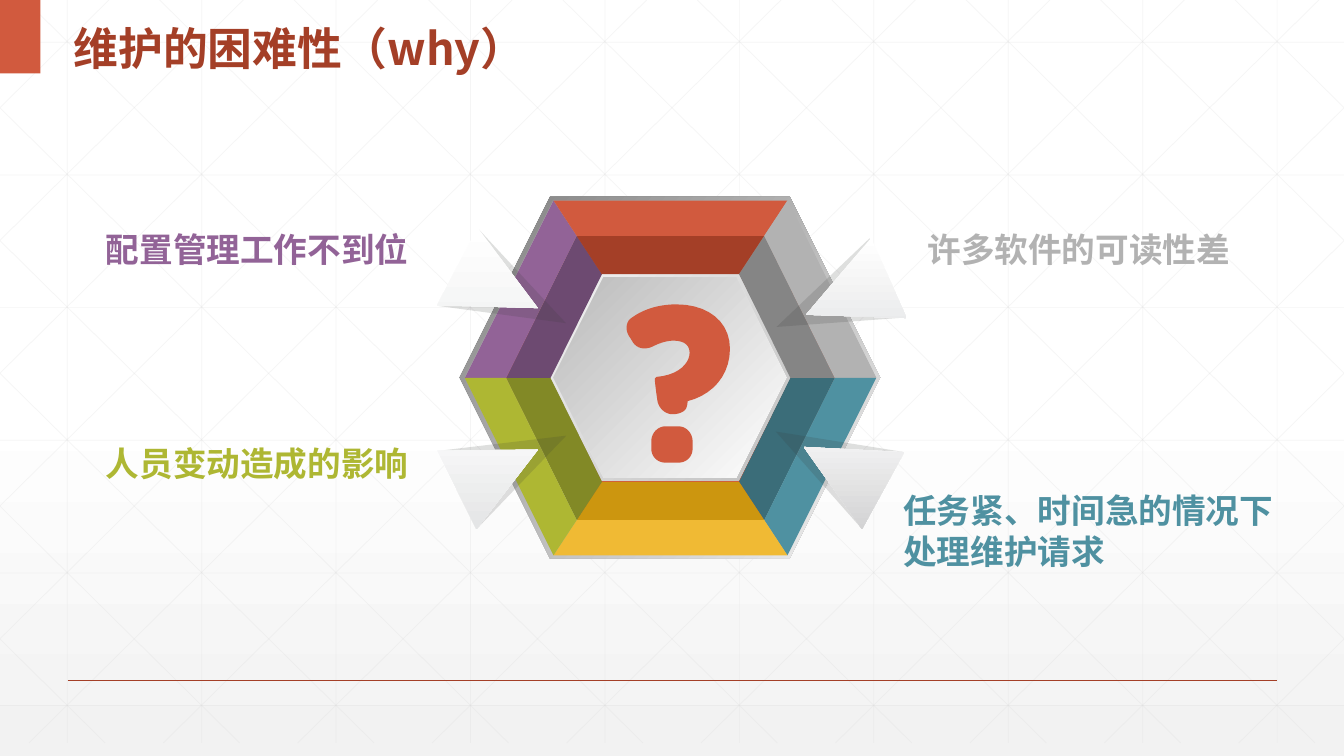
from dataclasses import dataclass

from lxml import etree
from pptx import Presentation
from pptx import util as u
from pptx.dml.color import RGBColor
from pptx.enum import shapes, text
from pptx.oxml.ns import qn


@dataclass(frozen=True)
class Theme:
    red: str = "D15A3E"
    dark_red: str = "A43F27"
    silver: str = "B2B2B2"
    dark_silver: str = "858585"
    teal: str = "4F91A1"
    dark_teal: str = "3B6D79"
    amber: str = "F0BA34"
    dark_amber: str = "CC960F"
    lime: str = "AEB733"
    dark_lime: str = "828926"
    violet: str = "926397"
    dark_violet: str = "6D4A71"
    mesh: str = "D9D9D9"
    shadow: str = "373937"
    white: str = "FFFFFF"
    pale: str = "F2F2F2"
    rim: str = "808080"
    bevel: str = "BFBFBF"
    core: str = "BABABA"
    title_font: str = "Noto Sans CJK SC"
    label_font: str = "Arial"
    title_size: int = 32
    label_size: int = 24


THEME = Theme()
WIDTH, HEIGHT, MESH_BOTTOM = 13.33, 7.5, 7.37
CENTER_X, CENTER_Y = 6.65, 3.75
HEXAGON = shapes.MSO_SHAPE.HEXAGON
TRIANGLE = shapes.MSO_SHAPE.ISOSCELES_TRIANGLE


def set_opacity(color_parent, percent):
    color = color_parent.find(".//" + qn("a:srgbClr"))
    etree.SubElement(color, qn("a:alpha")).set("val", str(percent * 1000))


def set_gradient(parent, stops, angle):
    """Swap the parent's solid fill for a gradient that ignores shape rotation."""
    gradient = etree.Element(qn("a:gradFill"), rotWithShape="0")
    stop_list = etree.SubElement(gradient, qn("a:gsLst"))
    for position, color in stops:
        stop = etree.SubElement(stop_list, qn("a:gs"), pos=str(position * 1000))
        etree.SubElement(stop, qn("a:srgbClr"), val=color)
    etree.SubElement(gradient, qn("a:lin"), ang=str(angle * 60000), scaled="0")
    parent.replace(parent.find(qn("a:solidFill")), gradient)


def curve(start, control_1, control_2, end, steps=10):
    """Points of a cubic Bezier curve after its start."""
    points = []
    for step in range(1, steps + 1):
        t = step / steps
        weights = ((1 - t) ** 3, 3 * t * (1 - t) ** 2, 3 * t * t * (1 - t), t ** 3)
        points.append(tuple(sum(w * p[axis] for w, p in zip(
            weights, (start, control_1, control_2, end))) for axis in (0, 1)))
    return points


def outline(start, *segments):
    """Flatten segments: 2 numbers make a line, 6 make a curve."""
    points = [start]
    for segment in segments:
        if len(segment) == 2:
            points.append(segment)
        else:
            points += curve(points[-1], segment[:2], segment[2:4], segment[4:])
    return points


def hexagon_corners(half_width, half_top, half_height):
    """Corners clockwise from the left one."""
    offsets = ((-half_width, 0), (-half_top, -half_height), (half_top, -half_height),
               (half_width, 0), (half_top, half_height), (-half_top, half_height))
    return [(CENTER_X + x, CENTER_Y + y) for x, y in offsets]


class SlideBuilder:
    def __init__(self, slide, theme):
        self.slide, self.theme = slide, theme

    def background(self, stops, angle):
        fill = self.slide.background.fill
        fill.solid()
        fill.fore_color.rgb = RGBColor.from_string(self.theme.white)
        set_gradient(self.slide.element.find(".//" + qn("p:bgPr")), stops, angle)

    def line(self, start, end, color, width, opacity=100):
        connector = self.slide.shapes.add_connector(
            shapes.MSO_CONNECTOR.STRAIGHT, *map(u.Inches, (*start, *end)))
        connector.line.color.rgb = RGBColor.from_string(color)
        connector.line.width = u.Pt(width)
        properties = connector.element.spPr
        if opacity < 100:
            set_opacity(properties, opacity)
        etree.SubElement(properties, qn("a:effectLst"))

    def paint(self, shape, color):
        shape.shadow.inherit = False
        shape.line.fill.background()
        shape.fill.solid()
        shape.fill.fore_color.rgb = RGBColor.from_string(color)

    def preset(self, kind, box, color, rotation=0, opacity=100):
        shape = self.slide.shapes.add_shape(kind, *map(u.Inches, box))
        shape.rotation = rotation
        self.paint(shape, color)
        if opacity < 100:
            set_opacity(shape.element.spPr, opacity)
        return shape

    def gradient_preset(self, kind, box, colors, angle, rotation=0):
        shape = self.preset(kind, box, colors[0], rotation)
        set_gradient(shape.element.spPr, list(zip((0, 100), colors)), angle)

    def freeform(self, contours, color):
        """Draw one shape from closed contours given in inches."""
        first, *others = [[(u.Inches(x), u.Inches(y)) for x, y in contour]
                          for contour in contours]
        builder = self.slide.shapes.build_freeform(*first[0])
        builder.add_line_segments(first[1:], close=True)
        for contour in others:
            builder.move_to(*contour[0])
            builder.add_line_segments(contour[1:], close=True)
        self.paint(builder.convert_to_shape(), color)

    def text(self, box, lines, font, size, color, align=text.PP_ALIGN.LEFT,
             margins=(0, 0), spacing=None, wrap=False):
        frame = self.slide.shapes.add_textbox(*map(u.Inches, box)).text_frame
        frame.word_wrap = wrap
        frame.vertical_anchor = text.MSO_ANCHOR.MIDDLE
        frame.margin_left = frame.margin_right = u.Inches(margins[0])
        frame.margin_top = frame.margin_bottom = u.Inches(margins[1])
        frame.text = "\n".join(lines)
        for paragraph in frame.paragraphs:
            paragraph.alignment = align
            paragraph.line_spacing = spacing
            for run in paragraph.runs:
                run.font.name, run.font.size, run.font.bold = font, u.Pt(size), True
                run.font.color.rgb = RGBColor.from_string(color)
                etree.SubElement(run.font._element, qn("a:ea"), typeface=font)


def draw_mesh(builder):
    def mesh_line(start, end):
        builder.line(start, end, THEME.mesh, 0.5, opacity=25)

    step = 4 / 3
    for column in range(10):
        x = 2 / 3 + column * step
        mesh_line((x, 0), (x, MESH_BOTTOM))
    for row in range(6):
        y = 0.42 + row * 1.316
        mesh_line((0, y), (WIDTH, y))
    slope = 0.988
    for diagonal in range(-5, 10):
        x = 0.25 + diagonal * step
        left, right = max(x, 0), min(x + MESH_BOTTOM / slope, WIDTH)
        top, bottom = (left - x) * slope, (right - x) * slope
        mesh_line((left, top), (right, bottom))
        mesh_line((WIDTH - left, top), (WIDTH - right, bottom))


def draw_hexagon(builder):
    t = THEME
    builder.gradient_preset(HEXAGON, (4.56, 1.95, 4.17, 3.59), (t.rim, t.pale), 45)
    builder.preset(HEXAGON, (4.61, 1.99, 4.08, 3.51), t.silver)
    builder.preset(HEXAGON, (5.02, 2.34, 3.26, 2.81), t.red)
    builder.gradient_preset(HEXAGON, (5.46, 2.72, 2.38, 2.05), (t.bevel, t.pale), 225)
    builder.gradient_preset(HEXAGON, (5.49, 2.75, 2.31, 1.99), (t.white, t.core), 225)

    outer = hexagon_corners(2.04, 1.16, 1.76)
    middle = hexagon_corners(1.63, 0.93, 1.41)
    inner = hexagon_corners(1.19, 0.68, 1.03)
    dark = (t.dark_violet, t.dark_red, t.dark_silver, t.dark_teal, t.dark_amber, t.dark_lime)
    light = (t.violet, t.red, t.silver, t.teal, t.amber, t.lime)
    for near, far, colors in ((inner, middle, dark), (middle, outer, light)):
        for side, color in enumerate(colors):
            following = (side + 1) % 6
            builder.freeform([[near[side], near[following], far[following], far[side]]], color)

    for shade, (x, y), (tip_x, tip_y), rotation in (
            ("D3D3D4", (7.79, 3.97), (7.93, 4.2), 298.8),
            ("E2E3E4", (7.82, 2.4), (7.97, 2.49), 246.1),
            ("E4E5E6", (4.65, 3.99), (4.5, 4.21), 63.5),
            ("F0F1F1", (4.65, 2.33), (4.5, 2.4), 117.4)):
        builder.preset(TRIANGLE, (x, y, 0.86, 1.2), t.shadow, rotation, opacity=16)
        builder.gradient_preset(TRIANGLE, (tip_x, tip_y, 0.87, 0.9), (t.white, shade), 90, rotation)


def draw_question_mark(builder):
    dot = outline((6.6, 4.23), (6.73, 4.23), (6.81, 4.23, 6.87, 4.3, 6.87, 4.38),
                  (6.87, 4.45), (6.87, 4.53, 6.81, 4.59, 6.73, 4.59), (6.6, 4.59),
                  (6.52, 4.59, 6.46, 4.53, 6.46, 4.45), (6.46, 4.38),
                  (6.46, 4.3, 6.52, 4.23, 6.6, 4.23))
    hook = outline((6.71, 3.02), (7.02, 3.02, 7.24, 3.19, 7.24, 3.46),
                   (7.24, 3.73, 7.06, 3.92, 6.82, 3.98), (6.82, 3.98, 6.82, 4.01, 6.81, 4.04),
                   (6.8, 4.08, 6.74, 4.11, 6.67, 4.11), (6.6, 4.11, 6.53, 4.05, 6.52, 3.97),
                   (6.51, 3.9), (6.5, 3.82, 6.49, 3.75, 6.5, 3.75), (6.51, 3.74),
                   (6.75, 3.72, 6.84, 3.59, 6.84, 3.5), (6.84, 3.42, 6.78, 3.38, 6.68, 3.38),
                   (6.62, 3.38, 6.55, 3.4, 6.49, 3.43), (6.42, 3.47, 6.33, 3.47, 6.28, 3.4),
                   (6.25, 3.35), (6.2, 3.29, 6.2, 3.19, 6.27, 3.15),
                   (6.38, 3.07, 6.53, 3.02, 6.71, 3.02))
    builder.freeform([dot, hook], THEME.red)


def main():
    presentation = Presentation()
    presentation.slide_width, presentation.slide_height = u.Inches(WIDTH), u.Inches(HEIGHT)
    builder = SlideBuilder(presentation.slides.add_slide(presentation.slide_layouts[6]), THEME)
    builder.background([(0, THEME.white), (53, THEME.white), (100, THEME.pale)], 90)
    draw_mesh(builder)
    builder.line((0.67, 6.75), (12.67, 6.75), THEME.dark_red, 1)
    builder.preset(shapes.MSO_SHAPE.RECTANGLE, (0, 0, 0.4, 0.73), THEME.red)
    builder.text((0.63, 0.03, 7.39, 0.73), ["维护的困难性（why）"], THEME.title_font,
                 THEME.title_size, THEME.dark_red, margins=(0.1, 0.05), spacing=1.3, wrap=True)
    draw_hexagon(builder)
    draw_question_mark(builder)
    left, right = text.PP_ALIGN.LEFT, text.PP_ALIGN.RIGHT
    for box, lines, color, align in (
            ((9.2, 2.26, 3.27, 0.42), ["许多软件的可读性差"], THEME.silver, left),
            ((8.96, 4.38, 4.23, 1.77), ["任务紧、时间急的情况下", "处理维护请求"], THEME.teal, left),
            ((0.78, 2.26, 3.27, 0.42), ["配置管理工作不到位"], THEME.violet, right),
            ((0.78, 4.38, 3.27, 0.42), ["人员变动造成的影响"], THEME.lime, right)):
        builder.text(box, lines, THEME.label_font, THEME.label_size, color, align)
    presentation.save("out.pptx")


if __name__ == "__main__":
    main()
